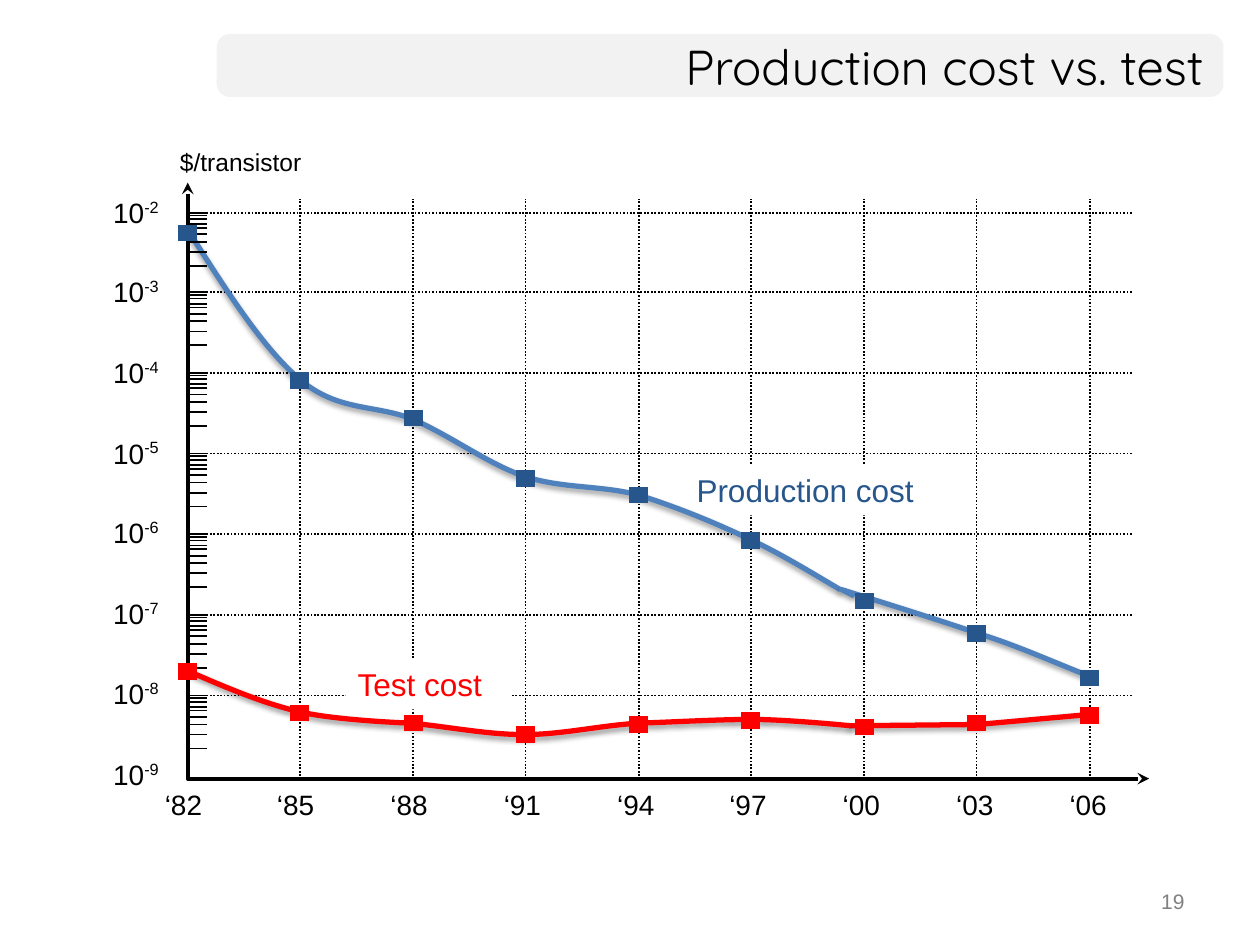
from dataclasses import dataclass
from typing import Any

from lxml.etree import SubElement
from pptx import Presentation
from pptx.dml.color import RGBColor
from pptx.enum.dml import MSO_LINE
from pptx.enum.shapes import MSO_CONNECTOR, MSO_SHAPE
from pptx.enum.text import MSO_ANCHOR, MSO_AUTO_SIZE, PP_ALIGN
from pptx.oxml.ns import qn
from pptx.util import Emu, Pt

PX = 9144
COLORS = {
    "black": "000000", "white": "FFFFFF", "banner": "F2F2F2", "number": "808080",
    "production": "4F81BD", "production_mark": "26568B", "test": "FF0000",
}
TICK_OFFSETS = (0, 2, 5, 9, 12, 17, 23, 31, 42)
GROWING = {"vertical_anchor": MSO_ANCHOR.MIDDLE, "word_wrap": False,
           "auto_size": MSO_AUTO_SIZE.SHAPE_TO_FIT_TEXT}
TITLE = {"vertical_anchor": MSO_ANCHOR.MIDDLE, "word_wrap": True}
NUMBER = {"vertical_anchor": MSO_ANCHOR.TOP, "word_wrap": True}
LEGEND = {"vertical_anchor": MSO_ANCHOR.TOP, "word_wrap": True,
          "auto_size": MSO_AUTO_SIZE.SHAPE_TO_FIT_TEXT}

Point = tuple[int, int]


@dataclass(frozen=True)
class Label:
    text: str
    box: tuple[int, int, int, int]
    size: int
    frame: dict[str, Any]
    exponent: str = ""
    color: str = "black"
    font: str = "Arial"
    align: PP_ALIGN = PP_ALIGN.LEFT
    fill: str = ""


@dataclass(frozen=True)
class Curve:
    color: str
    start: Point
    segments: tuple[tuple[Point, ...], ...]


@dataclass(frozen=True)
class Markers:
    color: str
    tops: tuple[int, ...]


TEST_TAIL = Curve("test", (674, 576), (((776, 575),), ((865, 567),)))
TEST_CURVE = Curve("test", (148, 532), (
    ((178, 545), (208, 558), (238, 565)),
    ((268, 572), (327, 574), (327, 574)),
    ((357, 577), (387, 583), (416, 583)),
    ((446, 583), (475, 576), (506, 574)),
    ((536, 573), (569, 571), (597, 571)),
    ((625, 571), (675, 576), (675, 576)),
))
PRODUCTION_CURVE = Curve("production", (150, 184), (
    ((180, 231), (209, 277), (239, 302)),
    ((269, 327), (299, 321), (328, 333)),
    ((358, 346), (387, 368), (416, 378)),
    ((446, 388), (477, 385), (507, 393)),
    ((536, 402), (568, 415), (595, 428)),
    ((621, 440), (653, 460), (667, 468)),
))
PRODUCTION_TAIL = Curve("production", (678, 473), (
    ((668, 468),),
    ((684, 473), (745, 492), (777, 503)),
    ((809, 513), (837, 526), (868, 538)),
))
MARKERS = (
    Markers("production_mark", (180, 297, 327, 375, 388, 424, 472, 498, 533)),
    Markers("test", (528, 561, 569, 578, 570, 567, 572, 569, 563)),
)


def rgb(name: str) -> RGBColor:
    return RGBColor.from_string(COLORS[name])


def spread(first: int, last: int, count: int) -> list[int]:
    return [first + (last - first) * i // (count - 1) for i in range(count)]


def add_block(slide, preset: MSO_SHAPE, box: tuple[int, int, int, int], color: str):
    block = slide.shapes.add_shape(preset, *(Emu(v * PX) for v in box))
    block.shadow.inherit = False
    block.fill.solid()
    block.fill.fore_color.rgb = rgb(color)
    block.line.fill.background()
    return block


def style_line(line, color: str, width: float) -> None:
    line.color.rgb = rgb(color)
    line.width = Pt(width)


def add_label(slide, label: Label) -> None:
    if label.fill:
        holder = add_block(slide, MSO_SHAPE.RECTANGLE, label.box, label.fill)
    else:
        holder = slide.shapes.add_textbox(*(Emu(v * PX) for v in label.box))
    for key, value in label.frame.items():
        setattr(holder.text_frame, key, value)
    paragraph = holder.text_frame.paragraphs[0]
    paragraph.alignment = label.align
    for text in filter(None, (label.text, label.exponent)):
        run = paragraph.add_run()
        run.text = text
        for key, value in {"name": label.font, "size": Pt(label.size)}.items():
            setattr(run.font, key, value)
        run.font.color.rgb = rgb(label.color)
        if text == label.exponent:
            run.font._element.set("baseline", "36000")


def add_rule(slide, start: Point, end: Point, dotted: bool = False) -> None:
    rule = slide.shapes.add_connector(
        MSO_CONNECTOR.STRAIGHT, *(Emu(v * PX) for v in (*start, *end)))
    style_line(rule.line, "black", 1)
    if dotted:
        rule.line.dash_style = MSO_LINE.ROUND_DOT
    SubElement(rule._element.spPr, qn("a:effectLst"))


def add_outline(slide, points: list[Point], color: str, width: float):
    builder = slide.shapes.build_freeform(*points[0], scale=PX)
    builder.add_line_segments(points[1:], close=False)
    outline = builder.convert_to_shape()
    outline.shadow.inherit = False
    outline.fill.background()
    style_line(outline.line, color, width)
    return outline


def bend(stroke, segments: tuple[tuple[Point, ...], ...]) -> None:
    steps = iter(list(stroke._element.iter(qn("a:lnTo"))))
    for segment in segments:
        first, *others = [next(steps) for _ in segment]
        if others:
            first.tag = qn("a:cubicBezTo")
        for step in others:
            first.append(step[0])
            step.getparent().remove(step)


def add_curve(slide, curve: Curve) -> None:
    points = [curve.start, *(point for segment in curve.segments for point in segment)]
    stroke = add_outline(slide, points, curve.color, 3)
    bend(stroke, curve.segments)
    effects = stroke._element.spPr.find(qn("a:effectLst"))
    shadow = SubElement(effects, qn("a:outerShdw"), blurRad="40000", dist="20000",
                        dir="5400000", rotWithShape="0")
    shade = SubElement(shadow, qn("a:srgbClr"), val=COLORS["black"])
    SubElement(shade, qn("a:alpha"), val="38000")


def add_axes(slide) -> None:
    axes = add_outline(slide, [(149, 145), (149, 618), (912, 618)], "black", 2.25)
    stroke = axes.line._get_or_add_ln()
    for end in ("a:headEnd", "a:tailEnd"):
        SubElement(stroke, qn(end), type="stealth")


def add_markers(slide, markers: Markers) -> None:
    for left, top in zip(spread(143, 859, 9), markers.tops):
        mark = add_block(slide, MSO_SHAPE.RECTANGLE, (left, top, 12, 10), markers.color)
        style_line(mark.line, markers.color, 2.25)
        SubElement(mark.line._get_or_add_ln(), qn("a:miter"), lim="800000")


def main() -> None:
    deck = Presentation()
    deck.slide_width, deck.slide_height = Emu(1000 * PX), Emu(750 * PX)
    slide = deck.slides.add_slide(deck.slide_layouts[6])

    banner = add_block(slide, MSO_SHAPE.ROUNDED_RECTANGLE, (172, 27, 799, 50), "banner")
    banner.adjustments[0] = 0.21
    add_label(slide, Label("19", (717, 700, 233, 35), 12, NUMBER, color="number",
                           align=PP_ALIGN.RIGHT))
    add_curve(slide, TEST_TAIL)

    for i, left in enumerate(spread(121, 839, 9)):
        add_label(slide, Label(f"‘{(82 + 3 * i) % 100:02}", (left, 620, 50, 37), 16, GROWING))
    for i, top in enumerate(spread(150, 596, 8)):
        add_label(slide, Label("10", (80, top, 58, 37), 16, GROWING, exponent=f"-{i + 2}"))
    add_label(slide, Label("$/transistor", (133, 111, 118, 34), 14, GROWING))

    decades = spread(169, 552, 7)
    for y in decades:
        add_rule(slide, (150, y), (899, y), dotted=True)
    for x in spread(149, 865, 9)[1:]:
        add_rule(slide, (x, 616), (x, 158), dotted=True)

    add_label(slide, Label("Production cost", (543, 369, 194, 40), 18,
                           LEGEND | {"word_wrap": False}, color="production_mark", fill="white"))
    add_curve(slide, PRODUCTION_CURVE)
    add_label(slide, Label("Test cost", (274, 523, 131, 40), 18, LEGEND,
                           color="test", fill="white"))
    add_axes(slide)
    for y in decades:
        for offset in TICK_OFFSETS:
            add_rule(slide, (149, y + offset), (164, y + offset))

    for curve in (TEST_CURVE, PRODUCTION_TAIL):
        add_curve(slide, curve)
    for markers in MARKERS:
        add_markers(slide, markers)
    add_label(slide, Label("Production cost vs. test", (172, 27, 793, 50), 28, TITLE,
                           font="Quicksand", align=PP_ALIGN.RIGHT))
    deck.save("out.pptx")


if __name__ == "__main__":
    main()
